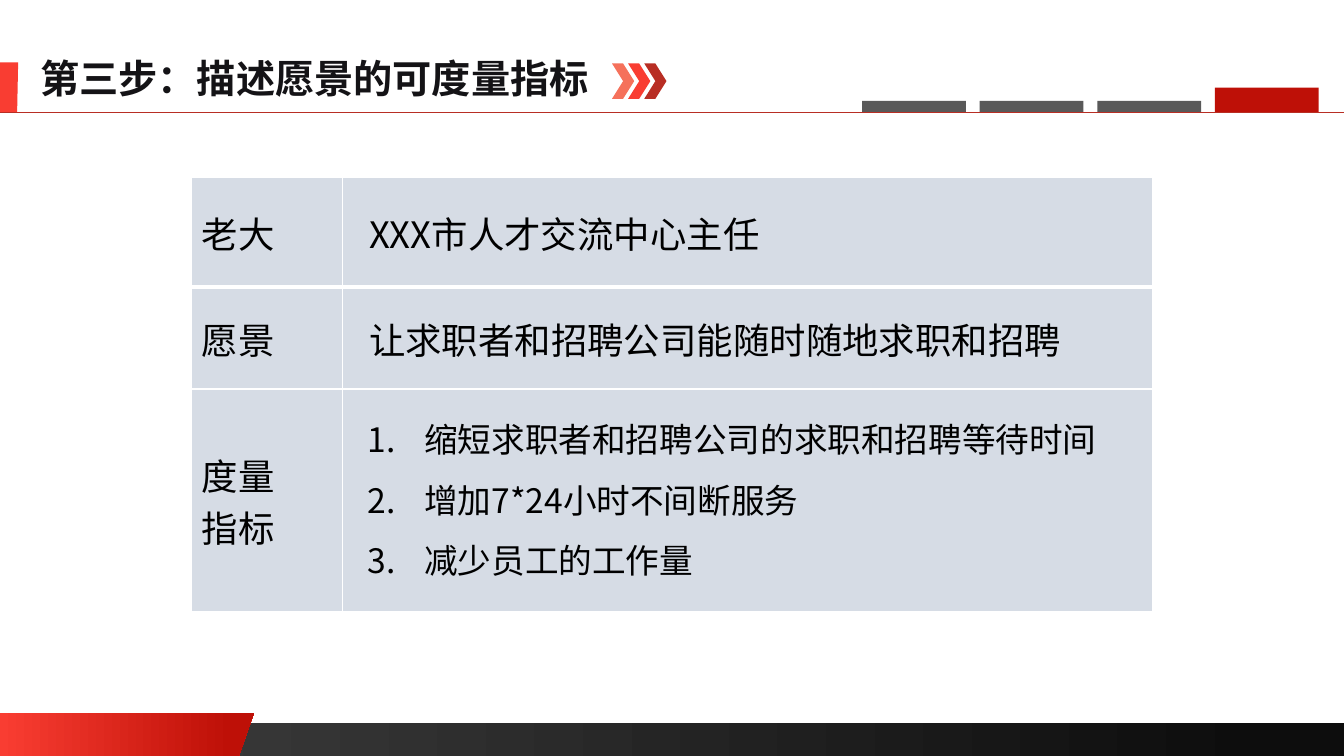
"""Build the slide on measurable indicators for the vision."""
from dataclasses import dataclass

from lxml import etree
from pptx import Presentation
from pptx.dml.color import RGBColor
from pptx.enum.shapes import MSO_CONNECTOR, MSO_SHAPE
from pptx.enum.text import MSO_ANCHOR, MSO_AUTO_SIZE, PP_ALIGN
from pptx.oxml.ns import qn
from pptx.util import Inches, Pt

RECTANGLE = MSO_SHAPE.RECTANGLE
CHEVRON = MSO_SHAPE.CHEVRON
STRAIGHT = MSO_CONNECTOR.STRAIGHT
MIDDLE = MSO_ANCHOR.MIDDLE
LEFT = PP_ALIGN.LEFT
NO_AUTOFIT = MSO_AUTO_SIZE.NONE


@dataclass(frozen=True)
class Theme:
    font: str = "Noto Sans CJK SC"
    title_size: int = 28
    table_size: int = 26
    list_size: int = 24
    title: str = "141316"
    text: str = "000000"
    white: str = "FFFFFF"
    cell: str = "D6DCE5"
    light_red: str = "F5715B"
    red: str = "F93D32"
    dark_red: str = "B82E24"
    deep_red: str = "BE1007"
    grey: str = "595959"
    bar_start: str = "404040"
    bar_end: str = "0D0D0D"


def write_text(paragraph, text, *, font, size, color, bold=False, line_spacing=None):
    paragraph.text = text
    paragraph.alignment = LEFT
    if line_spacing:
        paragraph.line_spacing = line_spacing
    for run in paragraph.runs:
        run.font.name = font
        run.font.size = Pt(size)
        run.font.bold = bold
        run.font.color.rgb = RGBColor.from_string(color)
        east_asian = etree.SubElement(run.font._element, qn("a:ea"))
        east_asian.set("typeface", font)


class SlideBuilder:
    def __init__(self, slide, theme):
        self.slide = slide
        self.theme = theme

    def paint(self, shape, *colors, end=1.0):
        shape.shadow.inherit = False
        shape.line.fill.background()
        if len(colors) == 1:
            shape.fill.solid()
            shape.fill.fore_color.rgb = RGBColor.from_string(colors[0])
            return
        shape.fill.gradient()
        shape.fill.gradient_angle = 0
        for stop, color, position in zip(shape.fill.gradient_stops, colors, (0, end)):
            stop.color.rgb = RGBColor.from_string(color)
            stop.position = position

    def shape(self, kind, left, top, width, height, *colors, end=1.0):
        shape = self.slide.shapes.add_shape(
            kind, Inches(left), Inches(top), Inches(width), Inches(height))
        self.paint(shape, *colors, end=end)
        return shape

    def polygon(self, points, *colors, end=1.0):
        corners = [(Inches(x), Inches(y)) for x, y in points]
        builder = self.slide.shapes.build_freeform(*corners[0])
        builder.add_line_segments(corners[1:], close=True)
        self.paint(builder.convert_to_shape(), *colors, end=end)

    def rule(self, top, width, color, weight):
        connector = self.slide.shapes.add_connector(
            STRAIGHT, 0, Inches(top), Inches(width), Inches(top))
        connector.line.color.rgb = RGBColor.from_string(color)
        connector.line.width = Pt(weight)
        etree.SubElement(connector._element.spPr, qn("a:effectLst"))

    def title(self, text, left, top, width, height):
        title = self.slide.shapes.title
        title.left, title.top = Inches(left), Inches(top)
        title.width, title.height = Inches(width), Inches(height)
        frame = title.text_frame
        frame.word_wrap = False
        frame.auto_size = NO_AUTOFIT
        frame.vertical_anchor = MIDDLE
        write_text(frame.paragraphs[0], text, font=self.theme.font,
                   size=self.theme.title_size, color=self.theme.title, bold=True)

    def border(self, cell, side, weight):
        properties = cell._tc.get_or_add_tcPr()
        line = etree.SubElement(properties, qn(f"a:ln{side}"), w=str(Pt(weight)))
        fill = etree.SubElement(line, qn("a:solidFill"))
        etree.SubElement(fill, qn("a:srgbClr"), val=self.theme.white)

    def table(self, rows, left, top, widths, heights):
        table = self.slide.shapes.add_table(
            len(rows), len(widths), Inches(left), Inches(top),
            Inches(sum(widths)), Inches(sum(heights))).table
        table.first_row = False
        table.horz_banding = False
        for column, width in zip(table.columns, widths):
            column.width = Inches(width)
        for row, height in zip(table.rows, heights):
            row.height = Inches(height)
        for row_index, texts in enumerate(rows):
            weights = {"L": 1, "R": 1, "T": 3 if row_index == 1 else 1,
                       "B": 3 if row_index == 0 else 1}
            for column_index, text in enumerate(texts):
                cell = table.cell(row_index, column_index)
                for side, weight in weights.items():
                    self.border(cell, side, weight)
                cell.fill.solid()
                cell.fill.fore_color.rgb = RGBColor.from_string(self.theme.cell)
                cell.vertical_anchor = MIDDLE
                if column_index == 1:
                    cell.margin_left = Inches(0.26)
                write_text(cell.text_frame.paragraphs[0], text, font=self.theme.font,
                           size=self.theme.table_size, color=self.theme.text)

    def numbered_list(self, items, left, top, width, height):
        frame = self.slide.shapes.add_textbox(
            Inches(left), Inches(top), Inches(width), Inches(height)).text_frame
        frame.word_wrap = True
        for index, item in enumerate(items):
            paragraph = frame.add_paragraph() if index else frame.paragraphs[0]
            properties = paragraph._p.get_or_add_pPr()
            properties.set("marL", str(Inches(0.56)))
            properties.set("indent", str(-Inches(0.56)))
            etree.SubElement(properties, qn("a:buAutoNum"), type="arabicPeriod")
            write_text(paragraph, item, font=self.theme.font, size=self.theme.list_size,
                       color=self.theme.text, line_spacing=1.5)


def main():
    theme = Theme()
    presentation = Presentation()
    presentation.slide_width = Inches(13.33)
    presentation.slide_height = Inches(7.5)
    slide = presentation.slides.add_slide(presentation.slide_layouts[5])
    builder = SlideBuilder(slide, theme)

    builder.shape(RECTANGLE, 0, 7.17, 13.33, 0.33, theme.bar_start, theme.bar_end, end=0.94)
    builder.polygon([(0, 7.07), (2.52, 7.07), (2.37, 7.5), (0, 7.5)],
                    theme.red, theme.deep_red, end=0.91)
    builder.polygon([(0, 0.62), (0.18, 0.62), (0.17, 1.12), (0, 1.12)], theme.red)

    builder.table(
        [("老大", "XXX市人才交流中心主任"),
         ("愿景", "让求职者和招聘公司能随时随地求职和招聘"),
         ("度量\v指标", "")],
        1.9, 1.76, widths=(1.5, 8.03), heights=(1.09, 1.01, 2.21))

    builder.title("第三步：描述愿景的可度量指标", 0.3, 0.49, 5.7, 0.57)
    builder.rule(1.11, 13.33, theme.dark_red, 0.5)
    for index, color in enumerate((theme.light_red, theme.red, theme.dark_red)):
        builder.shape(CHEVRON, 6.07 + 0.16 * index, 0.63, 0.22, 0.35, color)

    tab_count, first_tab, last_tab, baseline = 4, 8.55, 12.05, 1.11
    tab_step = (last_tab - first_tab) / (tab_count - 1)
    for index in range(tab_count):
        active = index == tab_count - 1
        height = 0.24 if active else 0.11
        builder.shape(RECTANGLE, first_tab + tab_step * index, baseline - height,
                      1.03, height, theme.deep_red if active else theme.grey)

    builder.numbered_list(
        ["缩短求职者和招聘公司的求职和招聘等待时间", "增加7*24小时不间断服务", "减少员工的工作量"],
        3.55, 3.91, 7.62, 1.92)
    presentation.save("out.pptx")


if __name__ == "__main__":
    main()
